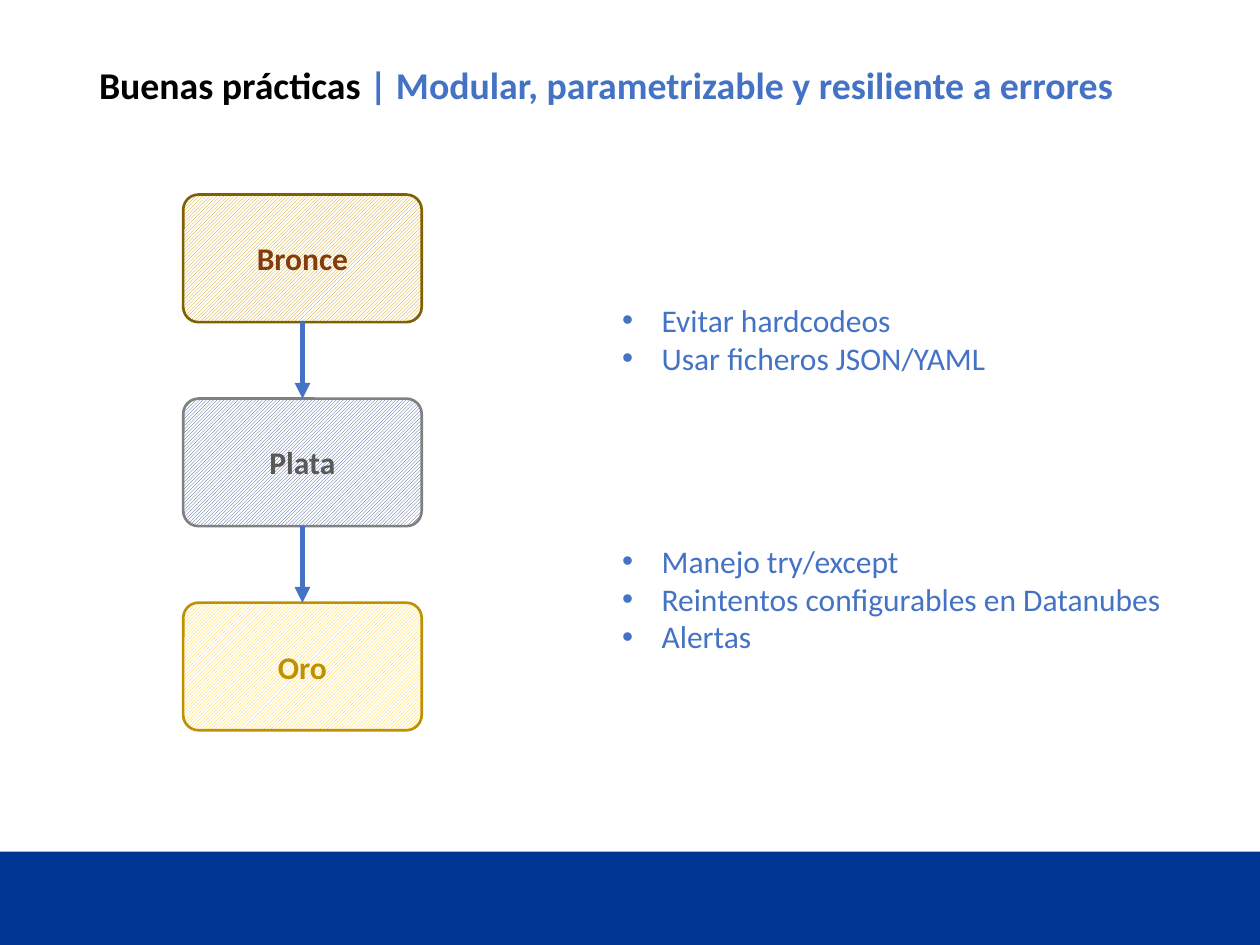
import pptx
import pptx.dml.color
import pptx.enum.dml
import pptx.enum.shapes
import pptx.enum.text
import pptx.oxml
import pptx.oxml.ns
import pptx.util

Pt = pptx.util.Pt
ANCHOR = pptx.enum.text.MSO_ANCHOR
SHAPES = pptx.enum.shapes.MSO_SHAPE
BLUE = "4472C4"


def color(value):
    return pptx.dml.color.RGBColor.from_string(value)


def add_element(parent, tag, **attributes):
    element = pptx.oxml.parse_xml(f"<a:{tag} {pptx.oxml.ns.nsdecls('a')}/>")
    for name, value in attributes.items():
        element.set(name, value)
    parent.append(element)


class SlideBuilder:
    font = "Calibri"
    size = 18

    def __init__(self, slide):
        self.slide = slide

    def add_run(self, paragraph, text, text_color, size=None, bold=False):
        run = paragraph.add_run()
        run.text = text
        run.font.name = self.font
        run.font.size = Pt(size or self.size)
        run.font.bold = bold
        run.font.color.rgb = color(text_color)

    def add_shape(self, kind, left, top, width, height):
        shape = self.slide.shapes.add_shape(kind, Pt(left), Pt(top), Pt(width), Pt(height))
        shape.shadow.inherit = False
        return shape

    def add_text_frame(self, left, top, width, height):
        box = self.slide.shapes.add_textbox(Pt(left), Pt(top), Pt(width), Pt(height))
        box.text_frame.word_wrap = True
        return box.text_frame

    def add_band(self, left, top, width, height, fill):
        band = self.add_shape(SHAPES.RECTANGLE, left, top, width, height)
        band.fill.solid()
        band.fill.fore_color.rgb = color(fill)
        band.line.fill.background()

    def add_title(self, left, top, width, height, runs):
        frame = self.add_text_frame(left, top, width, height)
        frame.vertical_anchor = ANCHOR.MIDDLE
        paragraph = frame.paragraphs[0]
        paragraph.line_spacing = 0.9
        for text, text_color in runs:
            self.add_run(paragraph, text, text_color, size=21.6, bold=True)

    def add_layer(self, left, top, width, height, text, hatch, outline, text_color):
        layer = self.add_shape(SHAPES.ROUNDED_RECTANGLE, left, top, width, height)
        layer.adjustments[0] = 0.12
        layer.fill.patterned()
        layer.fill.pattern = pptx.enum.dml.MSO_PATTERN.DARK_UPWARD_DIAGONAL
        layer.fill.fore_color.rgb = color(hatch)
        layer.fill.back_color.rgb = color("FFFFFF")
        layer.line.color.rgb = color(outline)
        layer.line.width = Pt(1.5)
        frame = layer.text_frame
        frame.vertical_anchor = ANCHOR.MIDDLE
        frame.margin_top = frame.margin_bottom = Pt(0)
        paragraph = frame.paragraphs[0]
        paragraph.alignment = pptx.enum.text.PP_ALIGN.CENTER
        self.add_run(paragraph, text, text_color, bold=True)

    def add_arrow(self, x, top, bottom):
        arrow = self.slide.shapes.add_connector(
            pptx.enum.shapes.MSO_CONNECTOR.STRAIGHT, Pt(x), Pt(top), Pt(x), Pt(bottom))
        arrow.line.color.rgb = color(BLUE)
        arrow.line.width = Pt(3)
        add_element(arrow.line._get_or_add_ln(), "tailEnd", type="triangle")
        add_element(arrow._element.spPr, "effectLst")

    def add_bullets(self, left, top, width, height, items):
        frame = self.add_text_frame(left, top, width, height)
        for index, item in enumerate(items):
            paragraph = frame.add_paragraph() if index else frame.paragraphs[0]
            properties = paragraph._p.get_or_add_pPr()
            properties.set("marL", str(Pt(22.5)))
            properties.set("indent", str(-Pt(22.5)))
            add_element(properties, "buFont", typeface="Arial")
            add_element(properties, "buChar", char="•")
            self.add_run(paragraph, item, BLUE)


def main():
    presentation = pptx.Presentation()
    presentation.slide_width = Pt(720)
    presentation.slide_height = Pt(540)
    builder = SlideBuilder(presentation.slides.add_slide(presentation.slide_layouts[6]))

    # Footer band and title
    builder.add_band(0, 486.7, 720, 53.3, "003594")
    builder.add_title(49.5, 28.8, 620.6, 42.5, [
        ("Buenas prácticas ", "000000"),
        ("| Modular, parametrizable y resiliente a errores", BLUE),
    ])

    # Data layers, from top to bottom, joined by arrows
    left, first_top, width, height, step = 104.7, 111.2, 136.3, 72.9, 116.6
    layers = [
        ("Bronce", "CC9900", "806000", "843C0B"),
        ("Plata", "294982", "808080", "595959"),
        ("Oro", "FFCC00", "BF9000", "BF9000"),
    ]
    for index, layer in enumerate(layers):
        top = first_top + index * step
        builder.add_layer(left, top, width, height, *layer)
        if index:
            builder.add_arrow(left + width / 2, top - step + height, top)

    # Recommendations
    builder.add_bullets(348.5, 168.5, 255, 51, ["Evitar hardcodeos", "Usar ficheros JSON/YAML"])
    builder.add_bullets(348.5, 306, 330, 72.7, [
        "Manejo try/except", "Reintentos configurables en Datanubes", "Alertas"])

    presentation.save("out.pptx")


if __name__ == "__main__":
    main()
